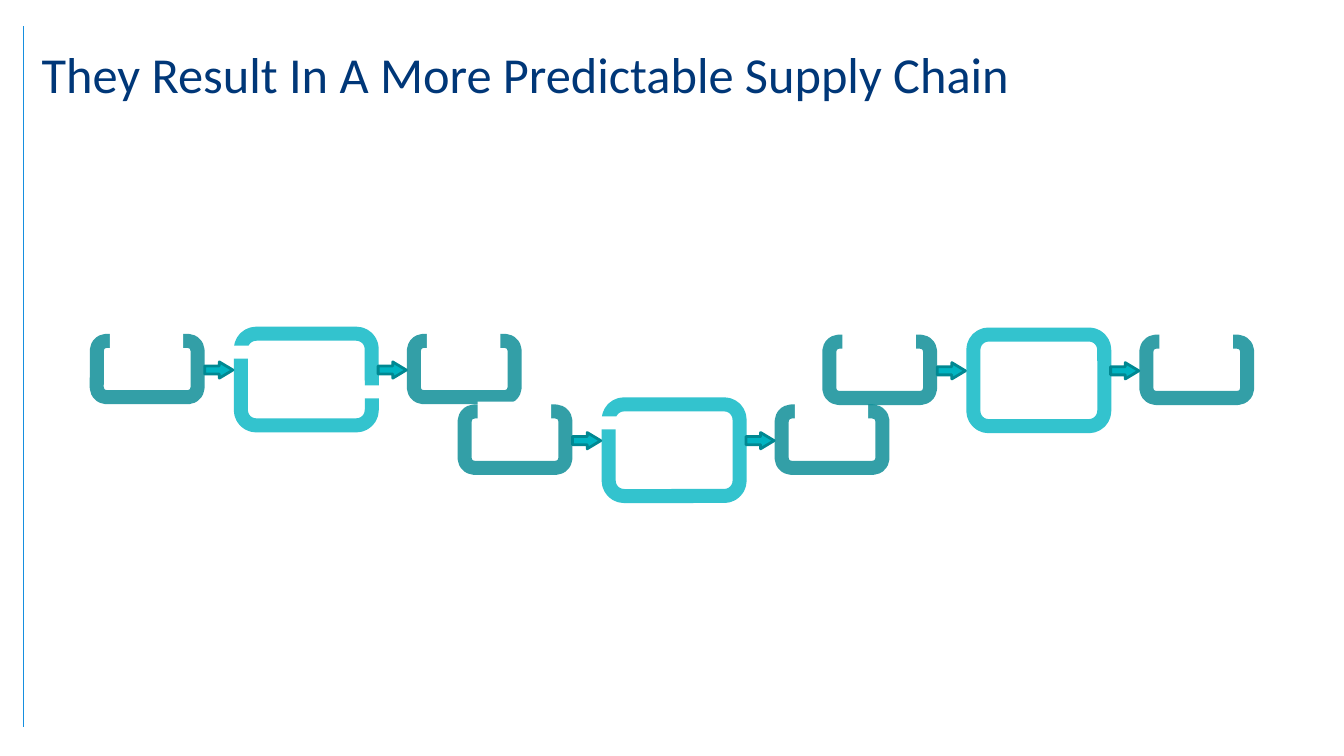
from dataclasses import dataclass

from lxml.etree import SubElement
from pptx import Presentation
from pptx.dml.color import RGBColor
from pptx.enum.shapes import MSO_CONNECTOR, MSO_SHAPE
from pptx.enum.text import MSO_ANCHOR, PP_ALIGN
from pptx.oxml.ns import qn
from pptx.util import Cm, Pt


@dataclass(frozen=True)
class Theme:
    font: str = "Calibri"
    title_size: int = 36
    title: str = "003778"
    rule: str = "168FDF"
    process: str = "00B4C2"
    buffer: str = "008892"
    paper: str = "FFFFFF"
    frame_width: int = 10
    arrow_width: int = 2
    rule_width: float = 0.75
    frame_alpha: int = 80


THEME = Theme()

# Parts of a stage, in cm: a process between two buffers
PROCESS_X, PROCESS_W, PROCESS_H = 3.63, 3.3, 2.31
BUFFER_XS, BUFFER_Y, BUFFER_W, BUFFER_H = (0, 7.99), 0.18, 2.54, 1.42
ARROW_XS, ARROW_Y, ARROW_W, ARROW_H = (2.72, 7.09), 0.71, 0.71, 0.41
GAP_W, GAP_H = 1.85, 0.33
LEFT_GAP, RIGHT_GAP = (2.77, 0.3), (5.97, 1.3)
NOTCH_DX, NOTCH_Y, NOTCH_H = 0.33, -0.07, 0.66


def rgb(color):
    return RGBColor.from_string(color)


def add_block(shapes, kind, x, y, w, h, fill=None, line=None, width=0):
    sp = shapes.add_shape(kind, Cm(x), Cm(y), Cm(w), Cm(h))
    sp.shadow.inherit = False
    if fill:
        sp.fill.solid()
        sp.fill.fore_color.rgb = rgb(fill)
    else:
        sp.fill.background()
    if line:
        sp.line.color.rgb = rgb(line)
        sp.line.width = Pt(width)
    else:
        sp.line.fill.background()
    return sp


def add_frame(shapes, x, y, w, h, color):
    """Rounded outline, slightly transparent."""
    sp = add_block(shapes, MSO_SHAPE.ROUNDED_RECTANGLE, x, y, w, h,
                   line=color, width=THEME.frame_width)
    clr = sp.line._ln.find(".//" + qn("a:srgbClr"))
    SubElement(clr, qn("a:alpha"), val=str(THEME.frame_alpha * 1000))


def add_notch(shapes, x, y, buffer_x):
    """Opens the top of one buffer of the stage at x, y."""
    add_block(shapes, MSO_SHAPE.RECTANGLE, x + buffer_x + NOTCH_DX, y + NOTCH_Y,
              GAP_W, NOTCH_H, fill=THEME.paper)


def add_stage(s, x, y, gaps=(), notches=BUFFER_XS):
    """Buffer, process, buffer, joined by arrows."""
    shapes = s.shapes.add_group_shape().shapes
    add_frame(shapes, x + PROCESS_X, y, PROCESS_W, PROCESS_H, THEME.process)
    for dx, dy in gaps:
        add_block(shapes, MSO_SHAPE.RECTANGLE, x + dx, y + dy, GAP_W, GAP_H,
                  fill=THEME.paper)
    for dx in BUFFER_XS:
        add_frame(shapes, x + dx, y + BUFFER_Y, BUFFER_W, BUFFER_H, THEME.buffer)
    for dx in notches:
        add_notch(shapes, x, y, dx)
    for dx in ARROW_XS:
        arrow = add_block(shapes, MSO_SHAPE.RIGHT_ARROW, x + dx, y + ARROW_Y,
                          ARROW_W, ARROW_H, fill=THEME.process,
                          line=THEME.buffer, width=THEME.arrow_width)
        arrow.adjustments[1] = 0.833


def add_margin_rule(s, x, top, bottom):
    rule = s.shapes.add_connector(MSO_CONNECTOR.STRAIGHT,
                                  Cm(x), Cm(top), Cm(x), Cm(bottom))
    rule.line.color.rgb = rgb(THEME.rule)
    rule.line.width = Pt(THEME.rule_width)
    SubElement(rule._element.spPr, qn("a:effectLst"))


def add_title(s, x, y, w, h, text):
    tf = s.shapes.add_textbox(Cm(x), Cm(y), Cm(w), Cm(h)).text_frame
    tf.word_wrap = True
    tf.vertical_anchor = MSO_ANCHOR.MIDDLE
    tf.margin_left = tf.margin_right = tf.margin_top = tf.margin_bottom = Cm(0.18)
    p = tf.paragraphs[0]
    p.alignment = PP_ALIGN.LEFT
    p.line_spacing = 0.9
    r = p.add_run()
    r.text = text
    r.font.name = THEME.font
    r.font.size = Pt(THEME.title_size)
    r.font.color.rgb = rgb(THEME.title)


def add_chain(s, x, y):
    """Three stages; the middle one hangs below and overlaps both others."""
    mid_x, mid_y = x + 9.27, y + 1.78
    add_stage(s, mid_x, mid_y, gaps=[LEFT_GAP], notches=BUFFER_XS[1:])
    add_stage(s, x, y, gaps=[RIGHT_GAP, LEFT_GAP])
    add_stage(s, x + 18.46, y + 0.02)
    # The middle stage's first notch also trims the buffer above it
    add_notch(s.shapes, mid_x, mid_y, BUFFER_XS[0])


def main():
    prs = Presentation()
    prs.slide_width, prs.slide_height = Cm(33.87), Cm(19.05)
    s = prs.slides.add_slide(prs.slide_layouts[6])
    add_margin_rule(s, 0.59, 0.66, 18.31)
    add_chain(s, 2.44, 8.41)
    add_title(s, 0.87, 0.66, 27.74, 2.59,
              "They Result In A More Predictable Supply Chain")
    prs.save("out.pptx")


if __name__ == "__main__":
    main()
